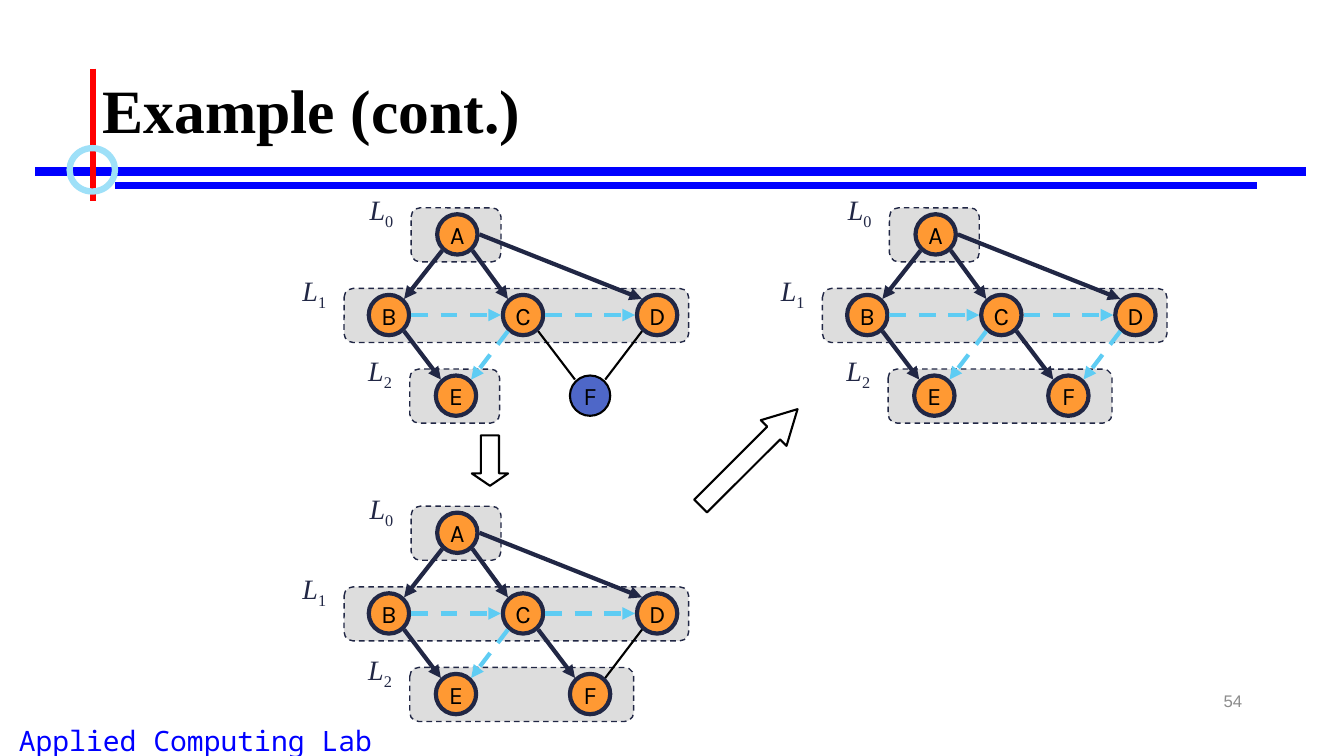
import dataclasses

import pptx
import pptx.dml.color
import pptx.enum.dml
import pptx.enum.shapes
import pptx.enum.text
import pptx.oxml
import pptx.oxml.ns
import pptx.util

SHAPE = pptx.enum.shapes.MSO_SHAPE
ALIGN = pptx.enum.text.PP_ALIGN
ANCHOR = pptx.enum.text.MSO_ANCHOR
DASH = pptx.enum.dml.MSO_LINE.DASH


@dataclasses.dataclass(frozen=True)
class Theme:
    black: str = "000000"
    rule: str = "0000FF"
    accent: str = "FF0000"
    ring: str = "9EE0F8"
    page: str = "8C8C8C"
    band: str = "DDDDDD"
    ink: str = "212745"
    sibling: str = "5ECCF3"
    visited: str = "FF9933"
    waiting: str = "4E67C8"
    serif: str = "Times New Roman"
    title_size: int = 44
    label_size: int = 20
    node_size: int = 18
    page_size: int = 12


THEME = Theme()


@dataclasses.dataclass(frozen=True)
class Box:
    left: float
    top: float
    width: float
    height: float

    def share(self, left, top, width, height):
        """Return an inner box given in percent of this one."""
        return Box(self.left + self.width * left / 100, self.top + self.height * top / 100,
                   self.width * width / 100, self.height * height / 100)

    def emu(self):
        return [pptx.util.Inches(v) for v in (self.left, self.top, self.width, self.height)]


SLIDE = Box(0, 0, 13.33, 7.5)

# Node: (column, row) on the graph grid
NODES = {"C": (2, 1), "B": (0, 1), "A": (1.02, 0), "E": (1, 2), "D": (4, 1), "F": (3, 2)}
TREE = ["AB", "AC", "AD", "BE"]
LEVEL = ["BC", "CD", "CE"]
RADIUS, SIDE_PORT, DIAGONAL_PORT = 0.2, 0.22, (0.15, 0.16)


def rgb(color):
    return pptx.dml.color.RGBColor.from_string(color)


def write(frame, runs, align, anchor=ANCHOR.TOP, wrap=True, spacing=None):
    """Fill a text frame with runs of (text, font format)."""
    frame.word_wrap, frame.vertical_anchor = wrap, anchor
    paragraph = frame.paragraphs[0]
    paragraph.alignment, paragraph.line_spacing = align, spacing
    for text, style in runs:
        run = paragraph.add_run()
        run.text = text
        for key, value in style.items():
            if key == "color":
                run.font.color.rgb = rgb(value)
            elif key == "baseline":
                run._r.get_or_add_rPr().set("baseline", str(value))
            else:
                setattr(run.font, key, pptx.util.Pt(value) if key == "size" else value)


def add_text(shapes, box, runs, align, **layout):
    write(shapes.add_textbox(*box.emu()).text_frame, runs, align, **layout)


def set_line(line, color, width, dash=None):
    line.color.rgb = rgb(color)
    line.width = pptx.util.Pt(width)
    if dash:
        line.dash_style = dash


def add_outline(shapes, kind, box, color, width, fill=None, dash=None):
    shape = shapes.add_shape(kind, *box.emu())
    shape.shadow.inherit = False
    if fill:
        shape.fill.solid()
        shape.fill.fore_color.rgb = rgb(fill)
    else:
        shape.fill.background()
    set_line(shape.line, color, width, dash)
    return shape


def add_line(shapes, start, end, color, width, dash=None, arrow=False):
    line = shapes.add_connector(pptx.enum.shapes.MSO_CONNECTOR.STRAIGHT,
                                *[pptx.util.Inches(v) for v in (*start, *end)])
    set_line(line.line, color, width, dash)
    properties = line._element.spPr
    if arrow:
        tail = pptx.oxml.parse_xml(f'<a:tailEnd {pptx.oxml.ns.nsdecls("a")} type="triangle"/>')
        properties.find(pptx.oxml.ns.qn("a:ln")).append(tail)
    properties.append(pptx.oxml.parse_xml(f'<a:effectLst {pptx.oxml.ns.nsdecls("a")}/>'))


def add_frame(shapes, box):
    """Footer, rules, page number and title."""
    add_text(shapes, box.share(0, 95.07, 29.1, 4.93),
             [("Applied Computing Lab", {"size": THEME.label_size, "name": "Noto Sans Mono",
                                         "color": THEME.rule})], ALIGN.CENTER)
    for left, top, width, height, color, weight in [
            (2.63, 22.67, 94.52, 0, THEME.rule, 6),
            (8.55, 24.53, 85, 0, THEME.rule, 4.5),
            (6.9, 9.07, 0, 17.46, THEME.accent, 4.5)]:
        rule = box.share(left, top, width, height)
        add_line(shapes, (rule.left, rule.top),
                 (rule.left + rule.width, rule.top + rule.height), color, weight)
    add_outline(shapes, SHAPE.OVAL, box.share(5.18, 19.6, 3.38, 5.73), THEME.ring, 4.5)
    add_text(shapes, box.share(70.67, 90, 22.5, 5.33),
             [("54", {"size": THEME.page_size, "name": "Arial", "color": THEME.page})],
             ALIGN.RIGHT, anchor=ANCHOR.MIDDLE)
    add_text(shapes, box.share(6.9, 5.33, 86.27, 19.33),
             [("Example (cont.)", {"size": THEME.title_size, "name": THEME.serif,
                                   "color": THEME.black, "bold": True})],
             ALIGN.LEFT, anchor=ANCHOR.MIDDLE, spacing=0.9)


def edge_ports(start, end):
    """Return where an edge leaves one circle and meets the other."""
    dx, dy = end[0] - start[0], end[1] - start[1]
    side = 1 if dx > 0 else -1
    flat = (side * SIDE_PORT, 0)
    slanted = (side * DIAGONAL_PORT[0], DIAGONAL_PORT[1])
    leave = flat if abs(dx) > abs(dy) else slanted
    meet = slanted if dy else flat
    return ((start[0] + leave[0], start[1] + leave[1]),
            (end[0] - meet[0], end[1] - meet[1]))


def add_graph(slide_shapes, box, tree, level, pending=(), waiting=""):
    """Draw one search step: tree, same-level and unexplored edges."""
    shapes = slide_shapes.add_group_shape().shapes
    column, row = box.width / 6, box.height / 2.9

    def place(x, y):
        return box.left + (x + 1.5) * column, box.top + (y + 0.57) * row

    bands = [(0.33, 1.67), (-0.67, 4.47), (0.31, 1.65 if waiting else 3.65)]
    corners = [place(first, y - 0.33) for y, (first, _) in enumerate(bands)]
    for (left, top), (first, last) in zip(corners, bands):
        add_outline(shapes, SHAPE.ROUNDED_RECTANGLE,
                    Box(left, top, (last - first) * column, row * 0.67),
                    THEME.ink, 1, THEME.band, DASH)

    centers = {name: place(*cell) for name, cell in NODES.items()}
    for name, (x, y) in centers.items():
        colors = ((THEME.black, 1.5, THEME.waiting) if name == waiting
                  else (THEME.ink, 3, THEME.visited))
        node = add_outline(shapes, SHAPE.OVAL,
                           Box(x - RADIUS, y - RADIUS, 2 * RADIUS, 2 * RADIUS), *colors)
        write(node.text_frame, [(name, {"size": THEME.node_size, "name": "Karla",
                                        "color": THEME.black})],
              ALIGN.CENTER, ANCHOR.MIDDLE, wrap=False)

    for edges, color, width, dash, arrow in [(tree, THEME.ink, 3, None, True),
                                             (level, THEME.sibling, 3, DASH, True),
                                             (pending, THEME.black, 1.5, None, False)]:
        for start, end in edges:
            add_line(shapes, *edge_ports(centers[start], centers[end]),
                     color, width, dash, arrow)

    letter = {"size": THEME.label_size, "name": THEME.serif, "color": THEME.ink}
    for depth, (left, top) in enumerate(corners):
        add_text(shapes, Box(left - 0.55, top - 0.2, 0.51, 0.43),
                 [("L", {**letter, "italic": True}),
                  (str(depth), {**letter, "baseline": -25000})], ALIGN.CENTER)


def add_step_arrow(shapes, box, rotation, head):
    arrow = add_outline(shapes, SHAPE.RIGHT_ARROW, box, THEME.black, 1.5)
    arrow.adjustments[1] = head
    arrow.rotation = rotation


def main():
    deck = pptx.Presentation()
    deck.slide_width, deck.slide_height = SLIDE.emu()[2:]
    shapes = deck.slides.add_slide(deck.slide_layouts[6]).shapes
    add_frame(shapes, SLIDE)
    add_graph(shapes, SLIDE.share(21.46, 24.93, 29.93, 30.93), TREE, LEVEL, ["CF", "DF"], "F")
    add_step_arrow(shapes, SLIDE.share(50.64, 58.13, 10.2, 4.8), 315, 0.93)
    add_step_arrow(shapes, SLIDE.share(34.58, 58.53, 3.75, 4.8), 90, 0.34)
    add_graph(shapes, SLIDE.share(21.46, 64.4, 29.93, 30.93), TREE + ["CF"], LEVEL, ["DF"])
    add_graph(shapes, SLIDE.share(57.05, 24.93, 29.93, 30.93), TREE + ["CF"], LEVEL + ["DF"])
    deck.save("out.pptx")


if __name__ == "__main__":
    main()
